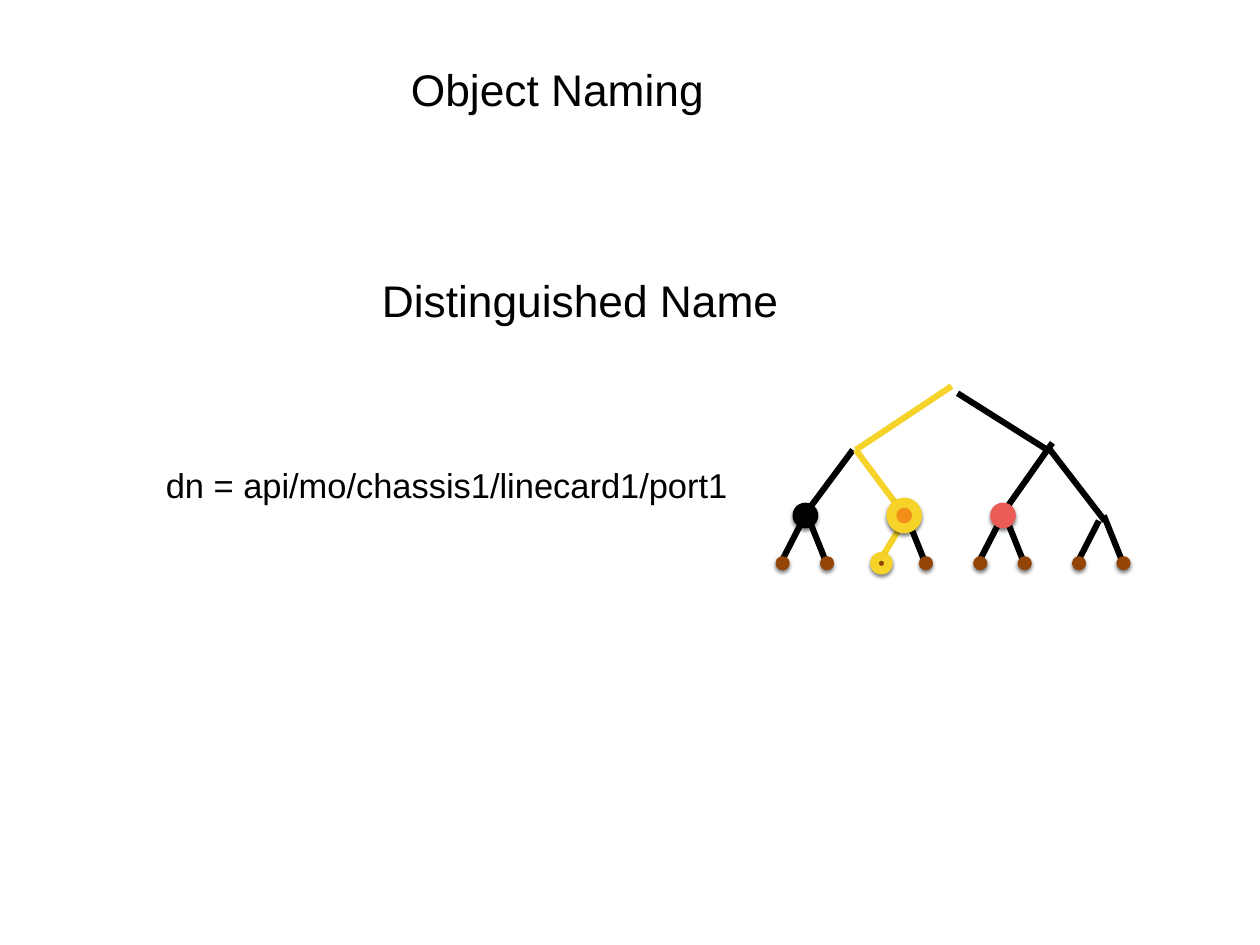
from lxml.etree import SubElement
from pptx import Presentation
from pptx.dml.color import RGBColor
from pptx.enum.shapes import MSO_CONNECTOR as CONN, MSO_SHAPE as SHAPE
from pptx.enum.text import MSO_ANCHOR as ANCHOR, PP_ALIGN as ALIGN
from pptx.oxml.ns import qn
from pptx.util import Inches, Pt

BLACK = RGBColor(0x00, 0x00, 0x00)
GOLD = RGBColor(0xF5, 0xD3, 0x28)
ORANGE = RGBColor(0xF3, 0x8F, 0x18)
RED = RGBColor(0xEC, 0x5C, 0x57)
BROWN = RGBColor(0x92, 0x45, 0x07)
WIDTH, HEIGHT = Inches(14.22), Inches(10.67)
UNIT = WIDTH / 128

BRANCHES = [
    (2.95, 0.34, 3.53, 0.76, BLACK),
    (0.98, 0.36, 0.50, 0.72, BLACK),
    (3.00, 0.32, 2.52, 0.70, BLACK),
    (2.95, 0.36, 2.04, 0.04, BLACK),
    (1.01, 0.36, 1.52, 0.74, GOLD),
    (1.01, 0.36, 1.98, 0.00, GOLD),
]
NODES = [BLACK, ORANGE, RED, None]
ON_PATH = 1


def grid(*cells):
    """Turn grid units into slide lengths."""
    return [round(c * UNIT) for c in cells]


def place_text(sp, box, text, size):
    """Put one line of text in the box."""
    sp.left, sp.top, sp.width, sp.height = grid(*box)
    tf = sp.text_frame
    tf.word_wrap = True
    tf.vertical_anchor = ANCHOR.MIDDLE
    tf.margin_left = tf.margin_right = tf.margin_top = tf.margin_bottom = Inches(0.06)
    tf.text = text
    p = tf.paragraphs[0]
    p.alignment = ALIGN.LEFT
    p.font.name, p.font.size = "Arial", Pt(size)
    p.font.color.rgb = BLACK


def add_branch(shapes, start, end, color):
    """Draw one flat line of the tree."""
    line = shapes.add_connector(CONN.STRAIGHT, *start, *end)
    line.line.color.rgb = color
    line.line.width = Pt(5)
    SubElement(line._element.spPr, qn("a:effectLst"))


def add_dot(shapes, center, size, fill, ring=None):
    """Draw a shadowed dot around its centre, with a gold ring of the given width."""
    (x, y), (w, h) = center, size
    dot = shapes.add_shape(SHAPE.OVAL, x - w // 2, y - h // 2, w, h)
    dot.fill.solid()
    dot.fill.fore_color.rgb = fill
    if ring:
        dot.line.color.rgb = GOLD
        dot.line.width = Pt(ring)
    else:
        dot.line.fill.background()
    effects = SubElement(dot._element.spPr, qn("a:effectLst"))
    shadow = SubElement(effects, qn("a:outerShdw"), blurRad="38100", dist="25400",
                        dir="5400000", rotWithShape="0")
    color = SubElement(shadow, qn("a:srgbClr"), val="000000")
    SubElement(color, qn("a:alpha"), val="50000")


def add_tree(s, box):
    """Draw the object tree, in columns across and shares of the height down."""
    left, top, width, height = grid(*box)
    column = width / len(NODES)

    def at(x, y):
        """Locate a point of the tree on the slide."""
        return round(left + x * column), round(top + y * height)

    shapes = s.shapes.add_group_shape().shapes
    node_size, leaf_size = Inches(0.29), Inches(0.16)
    for i in range(len(NODES)):
        x = i + 0.5
        if i == ON_PATH:
            add_branch(shapes, at(x + 0.02, 0.74), at(x - 0.25, 0.99), GOLD)
        else:
            add_branch(shapes, at(x - 0.03, 0.76), at(x - 0.26, 1.01), BLACK)
        add_branch(shapes, at(x + 0.02, 0.73), at(x + 0.2, 0.98), BLACK)
    for x1, y1, x2, y2, color in BRANCHES:
        add_branch(shapes, at(x1, y1), at(x2, y2), color)
    for i, color in enumerate(NODES):
        x = i + 0.5
        on_path = i == ON_PATH
        add_dot(shapes, at(x - 0.23, 1), (leaf_size, leaf_size), BROWN, 7 if on_path else None)
        add_dot(shapes, at(x + 0.22, 1), (leaf_size, leaf_size), BROWN)
        if color is not None:
            add_dot(shapes, at(x, 0.73), (node_size, node_size), color, 8 if on_path else None)


def main():
    """Build the object naming slide."""
    prs = Presentation()
    prs.slide_width, prs.slide_height = WIDTH, HEIGHT
    s = prs.slides.add_slide(prs.slide_layouts[5])
    place_text(s.shapes.title, (41.2, 5.5, 35.9, 7.1), "Object Naming", 36)
    for box, text, size in [
        ((38.25, 27.3, 41.85, 6.4), "Distinguished Name", 36),
        ((16.3, 46.7, 60.2, 5.2), "dn = api/mo/chassis1/linecard1/port1", 28),
    ]:
        place_text(s.shapes.add_textbox(0, 0, 0, 0), box, text, size)
    add_tree(s, (76.8, 39.25, 40.15, 18))
    prs.save("out.pptx")


if __name__ == "__main__":
    main()
